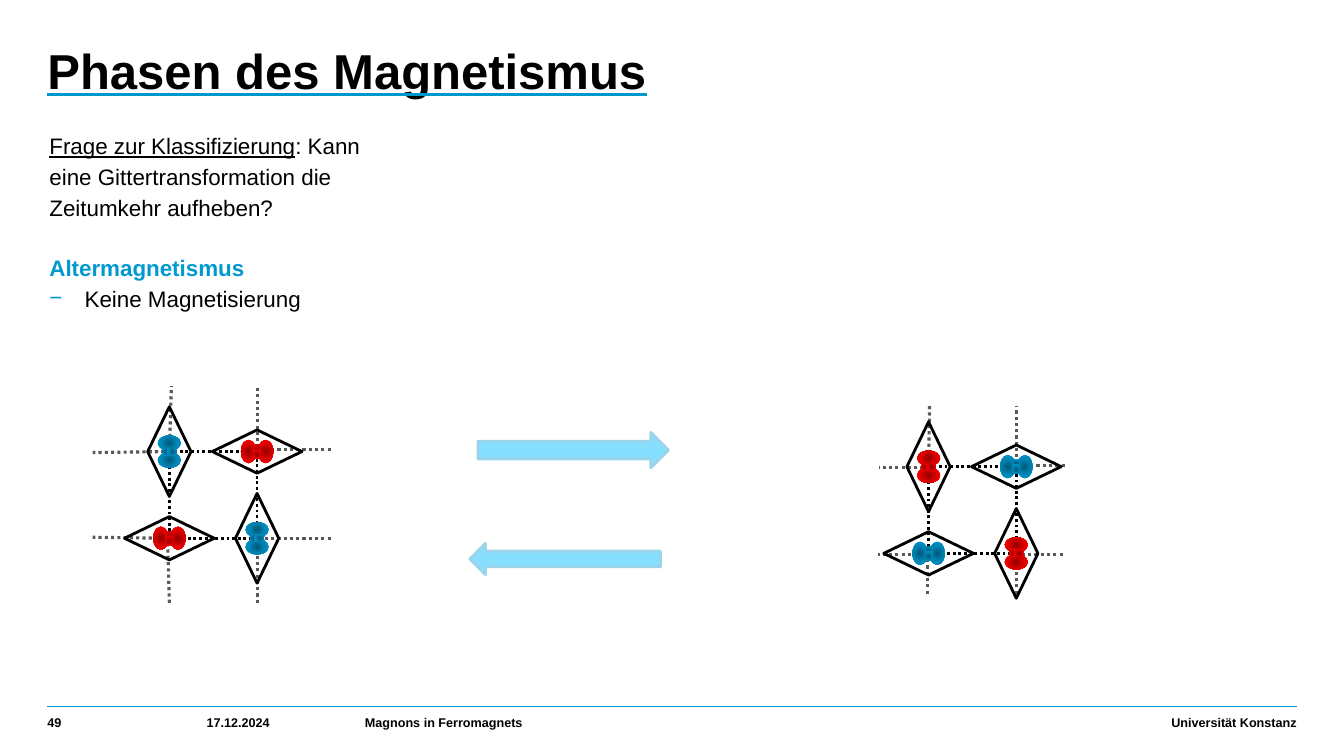
from pptx import Presentation
from pptx.dml.color import RGBColor
from pptx.enum.dml import MSO_LINE
from pptx.enum.shapes import MSO_CONNECTOR, MSO_SHAPE as Geo
from pptx.enum.text import MSO_ANCHOR as Anchor, PP_ALIGN as Align
from pptx.oxml import parse_xml
from pptx.oxml.ns import nsdecls
from pptx.util import Inches, Pt

HUES = {"ink": "000000", "rule": "0097CC", "accent": "009AD1", "dots": "595959",
        "arrow": "87DFFF", "edge": "9BD3EA"}
SPINS = {"blue": ("005B7C", "0082B0", "009AD1"), "red": ("970000", "D70000", "FF0000")}

TITLE = "Phasen des Magnetismus"
ASK = ("Frage zur Klassifizierung",
       ": Kann eine Gittertransformation die Zeitumkehr aufheben?")
PHASE = "Altermagnetismus"
POINT = "Keine Magnetisierung"
FOOTER = [  # text, left, width, alignment
    ("Universität Konstanz", 8.35, 4.51, Align.RIGHT),
    ("Magnons in Ferromagnets", 3.62, 6.3, Align.LEFT),
    ("49", 0.47, 1.36, Align.LEFT),
    ("17.12.2024", 2.05, 1.37, Align.LEFT),
]
ARROWS = [(4.74, 4.29, 1.89, 0.35, 0), (4.66, 5.39, 1.89, 0.31, 180)]

# Top left node, spin of the upright orbitals, spin of the flat ones, dotted axes
LATTICES = [
    ((1.68, 4.48), "blue", "red", [
        (1.63, 4.48, 0.92, 4.49), (1.63, 5.34, 0.92, 5.33),
        (3.28, 4.46, 2.58, 4.46), (3.28, 5.34, 2.56, 5.34),
        (1.68, 4.46, 1.7, 3.83), (2.55, 5.98, 2.55, 5.29),
        (1.68, 5.98, 1.66, 5.29), (2.55, 4.44, 2.55, 3.83)]),
    ((9.21, 4.63), "red", "blue", [
        (9.16, 4.64, 8.72, 4.64), (9.16, 5.5, 8.71, 5.5),
        (10.56, 4.62, 10.11, 4.62), (10.54, 5.5, 10.09, 5.5),
        (9.21, 4.62, 9.22, 4.01), (10.08, 5.89, 10.08, 5.45),
        (9.2, 5.89, 9.2, 5.44), (10.08, 4.6, 10.08, 4.03)]),
]
STEP = (0.87, 0.86)
DIAMOND = (0.89, 0.43)
LOBE = (0.15, 0.23)
NECK = (0.11, 0.07)
LOBE_GAP, NECK_GAP = 0.085, 0.03

deck = Presentation()
deck.slide_width, deck.slide_height = Inches(13.33), Inches(7.5)
slide = deck.slides.add_slide(deck.slide_layouts[6])


def rgb(name):
    return RGBColor.from_string(HUES[name])


def add_line(art, ends, hue, width, dash=None):
    line = art.add_connector(MSO_CONNECTOR.STRAIGHT, *map(Inches, ends))
    line.line.color.rgb = rgb(hue)
    line.line.width = Pt(width)
    if dash:
        line.line.dash_style = dash
    line._element.spPr.append(parse_xml(f"<a:effectLst {nsdecls('a')}/>"))


def add_form(art, geo, mid, size, turn=0, edge=None, dash=None):
    """Add an unfilled shape centred on mid, with an outline if edge is named."""
    left, top = mid[0] - size[0] / 2, mid[1] - size[1] / 2
    form = art.add_shape(geo, *map(Inches, (left, top, *size)))
    form.rotation = turn
    form.shadow.inherit = False
    form.fill.background()
    if edge:
        form.line.color.rgb = rgb(edge)
        form.line.width = Pt(2)
        if dash:
            form.line.dash_style = dash
    else:
        form.line.fill.background()
    return form


def glow(form, spin):
    """Fill a shape with a circular gradient, dark in the middle."""
    stops = "".join(f'<a:gs pos="{i * 50000}"><a:srgbClr val="{tint}"/></a:gs>'
                    for i, tint in enumerate(SPINS[spin]))
    grad = parse_xml(
        f'<a:gradFill {nsdecls("a")}><a:gsLst>{stops}</a:gsLst><a:path path="circle">'
        '<a:fillToRect l="50000" t="50000" r="50000" b="50000"/></a:path></a:gradFill>')
    props = form._element.spPr
    props.replace(props.find("{*}noFill"), grad)


def add_orbital(mid, spin, upright):
    art = slide.shapes.add_group_shape().shapes
    x, y = mid
    for side in (-1, 1):
        far = side * LOBE_GAP
        spot = (x, y + far) if upright else (x + far, y)
        glow(add_form(art, Geo.OVAL, spot, LOBE, 90 if upright else 0), spin)
    for side in (-1, 1):
        near = side * NECK_GAP
        spot = (x + near, y) if upright else (x, y + near)
        turn = (90 - 90 * side) if upright else (180 - 90 * side)
        glow(add_form(art, Geo.FLOWCHART_STORED_DATA, spot, NECK, turn), spin)


def add_lattice(node, tall, flat, axes):
    art = slide.shapes.add_group_shape().shapes
    for ends in axes:
        add_line(art, ends, "dots", 2.25, MSO_LINE.ROUND_DOT)
    mid = [a + b / 2 for a, b in zip(node, STEP)]
    add_form(art, Geo.RECTANGLE, mid, STEP, edge="ink", dash=MSO_LINE.ROUND_DOT)
    sites = [((node[0] + col * STEP[0], node[1] + row * STEP[1]), row == col)
             for row in range(2) for col in range(2)]
    for spot, upright in sites:
        add_form(art, Geo.DIAMOND, spot, DIAMOND, 270 if upright else 0, "ink")
    for spot, upright in sites:
        add_orbital(spot, tall if upright else flat, upright)


def add_box(left, top, width, height, base=0):
    box = slide.shapes.add_textbox(*map(Inches, (left, top, width, height)))
    frame = box.text_frame
    frame.word_wrap = True
    frame.margin_left = frame.margin_right = frame.margin_top = 0
    frame.margin_bottom = Inches(base)
    return frame


def add_run(para, text, size, hue="ink", bold=False, under=None):
    """Add a run; under names the colour of its underline."""
    run = para.add_run()
    run.text = text
    font = run.font
    font.size, font.bold = Pt(size), bold
    font.color.rgb = rgb(hue)
    if under:
        font.underline = True
        font._element.append(parse_xml(
            f'<a:uFill {nsdecls("a")}><a:solidFill><a:srgbClr val="{HUES[under]}"/>'
            '</a:solidFill></a:uFill>'))
    font.name = "Arial"


def add_para(frame, gap=0):
    para = frame.add_paragraph()
    para.line_spacing = 1.15
    para.space_before = Pt(gap)
    return para


add_line(slide.shapes, (0.47, 7.01, 12.86, 7.01), "rule", 1)
for text, left, width, align in FOOTER:
    foot = add_box(left, 7.06, width, 0.24, 0.06)
    foot.vertical_anchor = Anchor.BOTTOM
    foot.paragraphs[0].alignment = align
    add_run(foot.paragraphs[0], text, 9, bold=True)

body = add_box(0.49, 1.27, 3.49, 5.04)
ask = body.paragraphs[0]
ask.line_spacing = 1.15
add_run(ask, ASK[0], 16, under="ink")
add_run(ask, ASK[1], 16)
add_run(add_para(body, 21), PHASE, 16, "accent", True)
point = add_para(body)
props = point._element.get_or_add_pPr()
props.set("marL", str(Inches(0.35)))
props.set("indent", str(-Inches(0.35)))
for mark in (f'<a:buClr {nsdecls("a")}><a:srgbClr val="{HUES["accent"]}"/></a:buClr>',
             f'<a:buFont {nsdecls("a")} typeface="Arial"/>',
             f'<a:buChar {nsdecls("a")} char="−"/>'):
    props.append(parse_xml(mark))
add_run(point, POINT, 16)

head = add_box(0.47, 0.44, 9.24, 0.87).paragraphs[0]
head.line_spacing = 0.95
add_run(head, TITLE, 35, bold=True, under="rule")

for left, top, width, height, turn in ARROWS:
    mid = (left + width / 2, top + height / 2)
    arrow = add_form(slide.shapes, Geo.RIGHT_ARROW, mid, (width, height), turn, "edge")
    arrow.fill.solid()
    arrow.fill.fore_color.rgb = rgb("arrow")

for lattice in LATTICES:
    add_lattice(*lattice)

deck.save("out.pptx")
